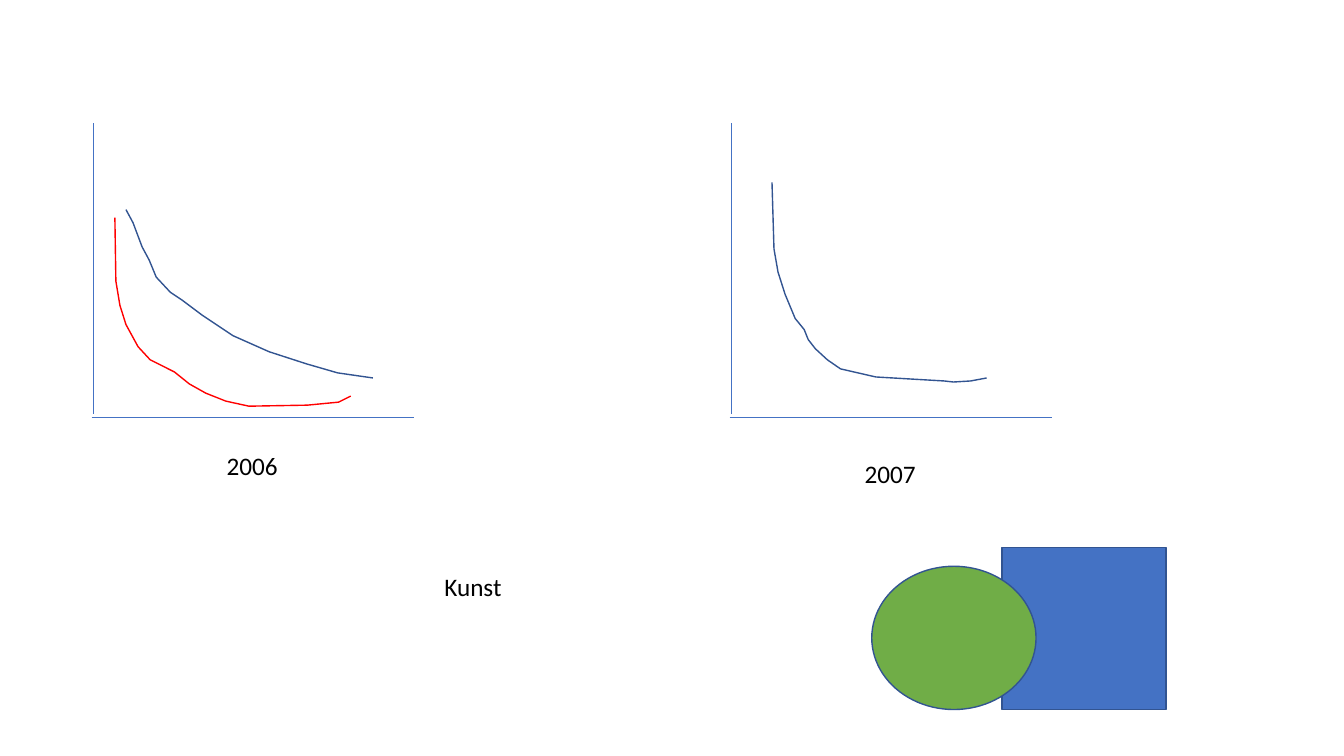
from typing import NamedTuple

from lxml import etree
from pptx import Presentation
from pptx import util as u
from pptx.dml import color
from pptx.enum import shapes, text
from pptx.oxml import ns

BLUE, NAVY, GREEN, RED, BLACK = "4472C4", "325491", "70AD47", "FF0000", "000000"
UNIT = u.Cm(2.54) / 100  # curve points are hundredths of an inch


class Axis(NamedTuple):
    """A straight axis line, in cm."""
    x1: float
    y1: float
    x2: float
    y2: float


class Curve(NamedTuple):
    """A hand-drawn curve and its line colour."""
    hue: str
    points: list


class Label(NamedTuple):
    """A one-line caption, in cm."""
    words: str
    x: float
    y: float
    w: float


class Block(NamedTuple):
    """A filled preset shape, in cm."""
    kind: shapes.MSO_SHAPE
    hue: str
    x: float
    y: float
    w: float
    h: float


AXES = [Axis(2.36, 3.1, 2.36, 10.44), Axis(2.31, 10.52, 10.44, 10.52)]
SHIFTS = [0, 16.08]  # 2006 and 2007 charts

CURVES = [
    Curve(NAVY, [
        (125, 208), (132, 221), (141, 245), (148, 258), (155, 275),
        (169, 290), (181, 298), (201, 313), (231, 333), (267, 349),
        (304, 361), (335, 370), (370, 375)]),
    Curve(NAVY, [
        (766, 181), (768, 247), (772, 270), (779, 292), (789, 316),
        (798, 327), (802, 337), (809, 346), (821, 357), (834, 366),
        (869, 374), (937, 378), (946, 379), (963, 378), (979, 375)]),
    Curve(RED, [
        (114, 216), (115, 279), (119, 303), (125, 322), (137, 344),
        (149, 357), (173, 369), (188, 381), (204, 390), (224, 398),
        (247, 403), (305, 402), (336, 399), (348, 393)]),
]

LABELS = [Label("2007", 21.54, 11.43, 1.8), Label("2006", 5.46, 11.23, 1.8),
          Label("Kunst", 10.95, 14.27, 1.98)]

BLOCKS = [Block(shapes.MSO_SHAPE.RECTANGLE, BLUE, 25.25, 13.79, 4.14, 4.09),
          Block(shapes.MSO_SHAPE.OVAL, GREEN, 21.97, 14.27, 4.14, 3.61)]

FRAME = {"word_wrap": False, "auto_size": text.MSO_AUTO_SIZE.SHAPE_TO_FIT_TEXT}
FONT = {"name": "Calibri", "size": u.Pt(18)}


def rgb(hue: str) -> color.RGBColor:
    """Turn a hex string into a colour."""
    return color.RGBColor.from_string(hue)


def style(item: object, values: dict) -> None:
    """Set every attribute in a dict of format values."""
    for name, value in values.items():
        setattr(item, name, value)


def stroke(shape, hue: str, width: float) -> None:
    """Give a shape a plain line."""
    shape.line.color.rgb = rgb(hue)
    shape.line.width = u.Pt(width)


def draw_axis(tree, axis: Axis, shift: float) -> None:
    """Draw one axis, moved right by shift cm."""
    line = tree.add_connector(
        shapes.MSO_CONNECTOR.STRAIGHT, u.Cm(axis.x1 + shift), u.Cm(axis.y1),
        u.Cm(axis.x2 + shift), u.Cm(axis.y2))
    stroke(line, BLUE, 0.5)
    etree.SubElement(line._element.spPr, ns.qn("a:effectLst"))


def draw_curve(tree, curve: Curve) -> None:
    """Draw one open curve without fill."""
    first, *rest = curve.points
    pen = tree.build_freeform(*first, scale=UNIT)
    pen.add_line_segments(rest, close=False)
    shape = pen.convert_to_shape()
    shape.fill.background()
    shape.shadow.inherit = False
    stroke(shape, curve.hue, 1)


def draw_label(tree, label: Label) -> None:
    """Write one caption."""
    box = tree.add_textbox(u.Cm(label.x), u.Cm(label.y), u.Cm(label.w), u.Cm(1.02))
    style(box.text_frame, FRAME)
    run = box.text_frame.paragraphs[0].add_run()
    run.text = label.words
    style(run.font, FONT)
    run.font.color.rgb = rgb(BLACK)


def draw_block(tree, block: Block) -> None:
    """Draw one filled shape."""
    shape = tree.add_shape(block.kind, *map(u.Cm, block[2:]))
    shape.shadow.inherit = False
    shape.fill.solid()
    shape.fill.fore_color.rgb = rgb(block.hue)
    stroke(shape, NAVY, 1)


deck = Presentation()
style(deck, {"slide_width": u.Cm(33.87), "slide_height": u.Cm(19.05)})
tree = deck.slides.add_slide(deck.slide_layouts[6]).shapes

for shift in SHIFTS:
    for axis in AXES:
        draw_axis(tree, axis, shift)
for draw, items in [(draw_curve, CURVES), (draw_label, LABELS), (draw_block, BLOCKS)]:
    for item in items:
        draw(tree, item)

deck.save("out.pptx")
